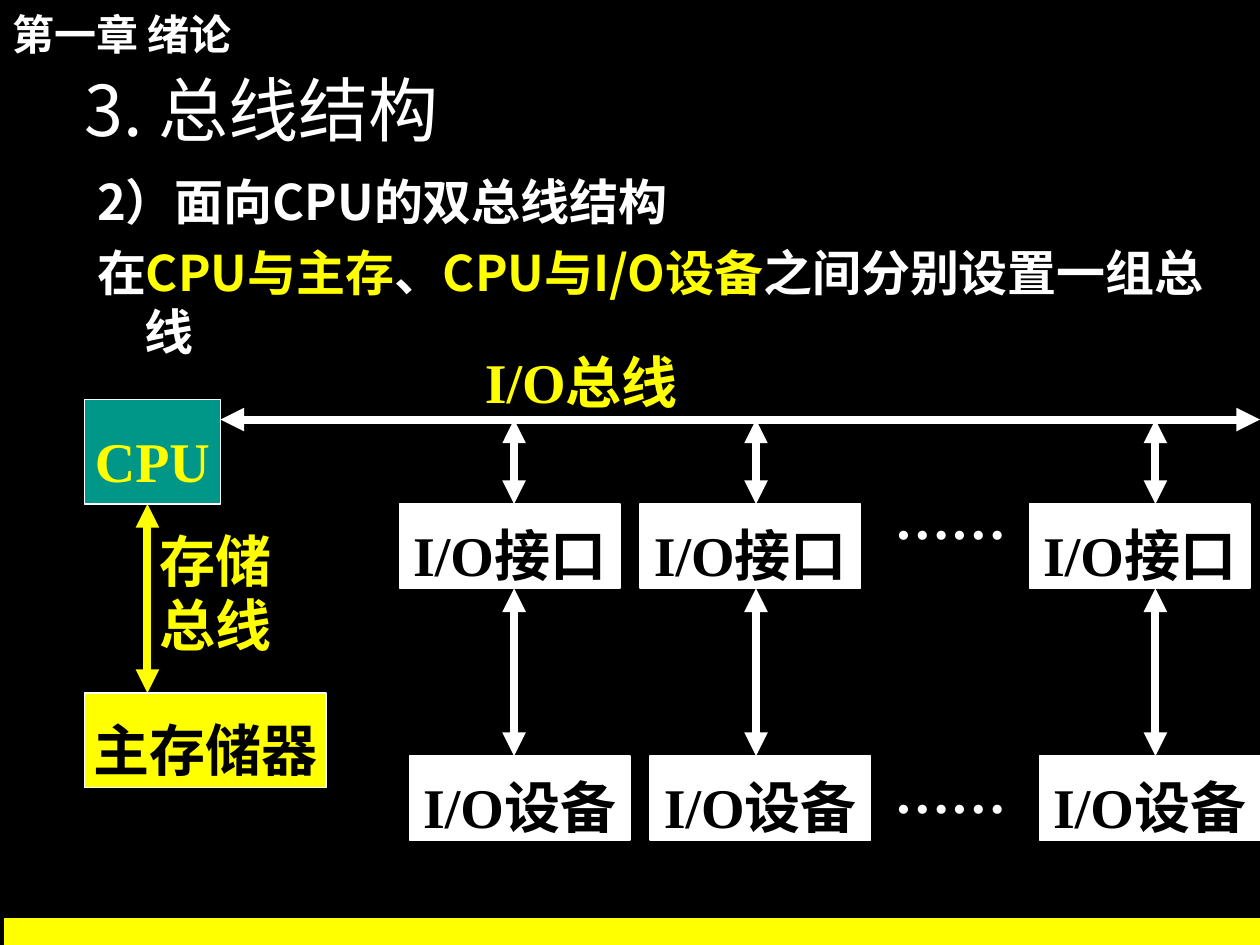
from dataclasses import dataclass, field

from lxml import etree
from pptx import Presentation
from pptx.dml.color import RGBColor
from pptx.enum import shapes, text
from pptx.oxml.ns import qn
from pptx.util import Inches, Pt

COLORS = {"black": "000000", "white": "FFFFFF", "yellow": "FFFF00", "teal": "009688"}
SERIF, SANS = "Times New Roman", "Noto Sans CJK SC"


def rgb(name):
    return RGBColor.from_string(COLORS[name])


def write(frame, paragraphs, size=32, font=SERIF, color="white", bold=True,
          align=text.PP_ALIGN.LEFT, anchor=text.MSO_ANCHOR.TOP, spacing=None,
          before=0, hanging=0, wrap=True, margins=(0.1, 0.05)):
    """Fill a frame; each paragraph is a string or a list of (text, color) spans."""
    frame.auto_size = text.MSO_AUTO_SIZE.NONE
    frame.word_wrap = wrap
    frame.vertical_anchor = anchor
    frame.margin_left = frame.margin_right = Inches(margins[0])
    frame.margin_top = frame.margin_bottom = Inches(margins[1])
    for index, content in enumerate(paragraphs):
        para = frame.add_paragraph() if index else frame.paragraphs[0]
        properties = para._p.get_or_add_pPr()
        properties.set("marL", str(Inches(hanging)))
        properties.set("indent", str(-Inches(hanging)))
        etree.SubElement(properties, qn("a:buNone"))
        para.alignment = align
        para.line_spacing = spacing
        para.space_before = Pt(before if index else 0)
        spans = [(content, color)] if isinstance(content, str) else content
        for words, span_color in spans:
            span = para.add_run()
            span.text = words
            span.font.size = Pt(size)
            span.font.bold = bold
            span.font.color.rgb = rgb(span_color)
            span.font.name = font
            etree.SubElement(span._r.get_or_add_rPr(), qn("a:ea"), typeface=SANS)


@dataclass
class Diagram:
    page: object
    box_style: dict = field(default_factory=lambda: dict(
        align=text.PP_ALIGN.CENTER, anchor=text.MSO_ANCHOR.MIDDLE,
        spacing=1.25, wrap=False))
    label_style: dict = field(default_factory=lambda: dict(spacing=0.95))
    bus_width: float = 4.5

    def placeholder(self, box, place, paragraphs, **style):
        box.left, box.top, box.width, box.height = map(Inches, place)
        write(box.text_frame, paragraphs, **style)

    def box(self, place, words="", fill="white", line="white", width=1, color="black"):
        box = self.page.shapes.add_shape(
            shapes.MSO_SHAPE.RECTANGLE, *map(Inches, place))
        box.shadow.inherit = False
        box.fill.solid()
        box.fill.fore_color.rgb = rgb(fill)
        box.line.color.rgb = rgb(line)
        box.line.width = Pt(width)
        if words:
            write(box.text_frame, [words], color=color, **self.box_style)

    def label(self, place, words, **style):
        box = self.page.shapes.add_textbox(*map(Inches, place))
        write(box.text_frame, [words], **{**self.label_style, **style})

    def bus(self, start, end, color="white"):
        line = self.page.shapes.add_connector(
            shapes.MSO_CONNECTOR.STRAIGHT, *map(Inches, (*start, *end)))
        line.line.color.rgb = rgb(color)
        line.line.width = Pt(self.bus_width)
        for end_tag in ("a:headEnd", "a:tailEnd"):
            etree.SubElement(line.line._get_or_add_ln(), qn(end_tag), type="triangle")
        etree.SubElement(line._element.spPr, qn("a:effectLst"))


def main():
    deck = Presentation()
    deck.slide_width, deck.slide_height = Inches(10), Inches(7.5)
    page = deck.slides.add_slide(deck.slide_layouts[1])
    page.background.fill.solid()
    page.background.fill.fore_color.rgb = rgb("black")
    diagram = Diagram(page)

    # Chapter heading and footer band
    diagram.label((0, -0.08, 4.92, 0.6), "第一章 绪论", size=24, spacing=1.25)
    diagram.box((0.04, 7.29, 10, 0.24), fill="yellow", line="yellow", width=0.75)

    # Title and explanation
    diagram.placeholder(
        page.shapes.title, (0.67, 0.33, 8.17, 1.17), ["3. 总线结构"], size=40,
        font=SANS, bold=False, anchor=text.MSO_ANCHOR.MIDDLE, spacing=0.85,
        margins=(0, 0))
    diagram.placeholder(
        page.placeholders[1], (0.67, 1.31, 9.06, 3.26),
        ["2）面向CPU的双总线结构",
         [("在", "white"), ("CPU与主存", "yellow"), ("、", "white"),
          ("CPU与I/O设备", "yellow"), ("之间分别设置一组总线", "white")]],
        size=28, font=SANS, before=7, hanging=0.38)

    # Processor, memory and the storage bus
    diagram.box((0.67, 3.17, 1.08, 0.83), "CPU", fill="teal", color="yellow")
    diagram.box((0.67, 5.5, 1.92, 0.75), "主存储器", fill="yellow")
    diagram.bus((1.17, 4), (1.17, 5.5), "yellow")
    diagram.label((1.17, 4.17, 1.33, 1.11), "存储总线", color="yellow")

    # I/O bus with one interface and one device per branch
    bus_top, interface_top, device_top, height = 3.33, 4, 6, 0.67
    diagram.bus((1.75, bus_top), (10, bus_top))
    diagram.label((3.75, 2.75, 3.08, 0.61), "I/O总线", color="yellow")
    for left, center in ((3.17, 4.08), (5.08, 6), (8.17, 9.17)):
        diagram.box((left, interface_top, 1.75, height), "I/O接口")
        diagram.box((left + 0.08, device_top, 1.75, height), "I/O设备")
        diagram.bus((center, bus_top), (center, interface_top))
        diagram.bus((center, interface_top + height), (center, device_top))

    # Further branches
    for top in (3.83, 6):
        diagram.label((7, top, 1.33, 0.61), "……")

    deck.save("out.pptx")


if __name__ == "__main__":
    main()
